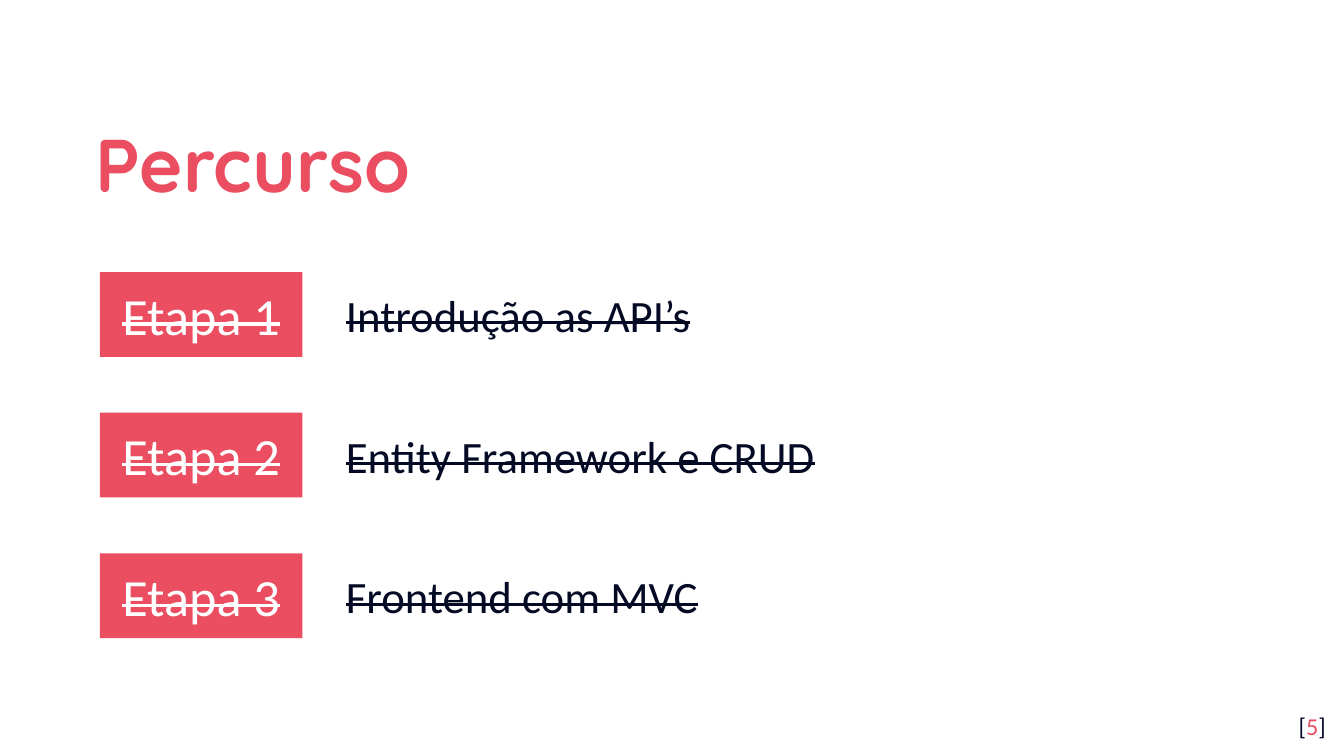
"""Build the "Percurso" slide: a title, three struck-through stages and a page number."""
from dataclasses import dataclass

from pptx import Presentation
from pptx.dml.color import RGBColor
from pptx.enum.shapes import MSO_SHAPE
from pptx.enum.text import MSO_ANCHOR, PP_ALIGN
from pptx.util import Inches, Pt


@dataclass(frozen=True)
class Theme:
    accent: RGBColor = RGBColor(0xEA, 0x4E, 0x60)
    ink: RGBColor = RGBColor(0x04, 0x0A, 0x24)
    paper: RGBColor = RGBColor(0xFF, 0xFF, 0xFF)
    heading: str = "Quicksand"
    body: str = "Calibri"
    title: float = 53.3
    stage: float = 37.3
    topic: float = 32
    page: float = 17.3


theme = Theme()
prs = Presentation()
prs.slide_width, prs.slide_height = Inches(13.33), Inches(7.5)
s = prs.slides.add_slide(prs.slide_layouts[6])
s.background.fill.solid()
s.background.fill.fore_color.rgb = theme.paper


def box(x, y, w, h, fill=None, anchor=MSO_ANCHOR.TOP, pad=0.13):
    """Add a text box, or a filled rectangle, placed in percent of the slide."""
    area = [int(v * side / 100) for v, side in
            zip((x, y, w, h), (prs.slide_width, prs.slide_height) * 2)]
    if fill is None:
        sp = s.shapes.add_textbox(*area)
    else:
        sp = s.shapes.add_shape(MSO_SHAPE.RECTANGLE, *area)
        sp.shadow.inherit = False
        sp.fill.solid()
        sp.fill.fore_color.rgb = fill
        sp.line.fill.background()
    tf = sp.text_frame
    tf.word_wrap = True
    tf.vertical_anchor = anchor
    tf.margin_left = tf.margin_right = Inches(0.13)
    tf.margin_top = tf.margin_bottom = Inches(pad)
    return tf.paragraphs[0]


def style(r, size, color, font=theme.body, bold=False, strike=False):
    """Format one run."""
    r.font.size, r.font.name, r.font.bold = Pt(size), font, bold
    r.font.color.rgb = color
    if strike:
        r.font._element.set("strike", "sngStrike")


p = box(6.15, 12.4, 81.1, 16.4, anchor=MSO_ANCHOR.MIDDLE)
p.text = "Percurso"
p.line_spacing = 1.15
style(p.runs[0], theme.title, theme.accent, theme.heading, bold=True)

first_row, row_pitch, stage_h, topic_h = 36, 18.6, 11.2, 8.93
topics = [("Introdução as API’s", 67.52),
          ("Entity Framework e CRUD", 71.04),
          ("Frontend com MVC", 67.52)]

for i, (topic, topic_w) in enumerate(topics):
    y = first_row + i * row_pitch
    p = box(7.43, y, 15.08, stage_h, theme.accent, MSO_ANCHOR.MIDDLE)
    p.text = f"Etapa {i + 1}"
    p.alignment = PP_ALIGN.CENTER
    style(p.runs[0], theme.stage, theme.paper, strike=True)

    p = box(24.76, y + (stage_h - topic_h) / 2, topic_w, topic_h, pad=0.07)
    p.text = topic
    pPr = p._p.get_or_add_pPr()
    pPr.set("marL", str(Inches(0.67)))
    pPr.set("indent", str(-Inches(0.67)))
    style(p.runs[0], theme.topic, theme.ink, strike=True)

p = box(93.62, 92.4, 6, 7.6)
p.alignment = PP_ALIGN.RIGHT
for text, color in (("[", theme.ink), ("5", theme.accent), ("]", theme.ink)):
    r = p.add_run()
    r.text = text
    style(r, theme.page, color)

prs.save("out.pptx")
